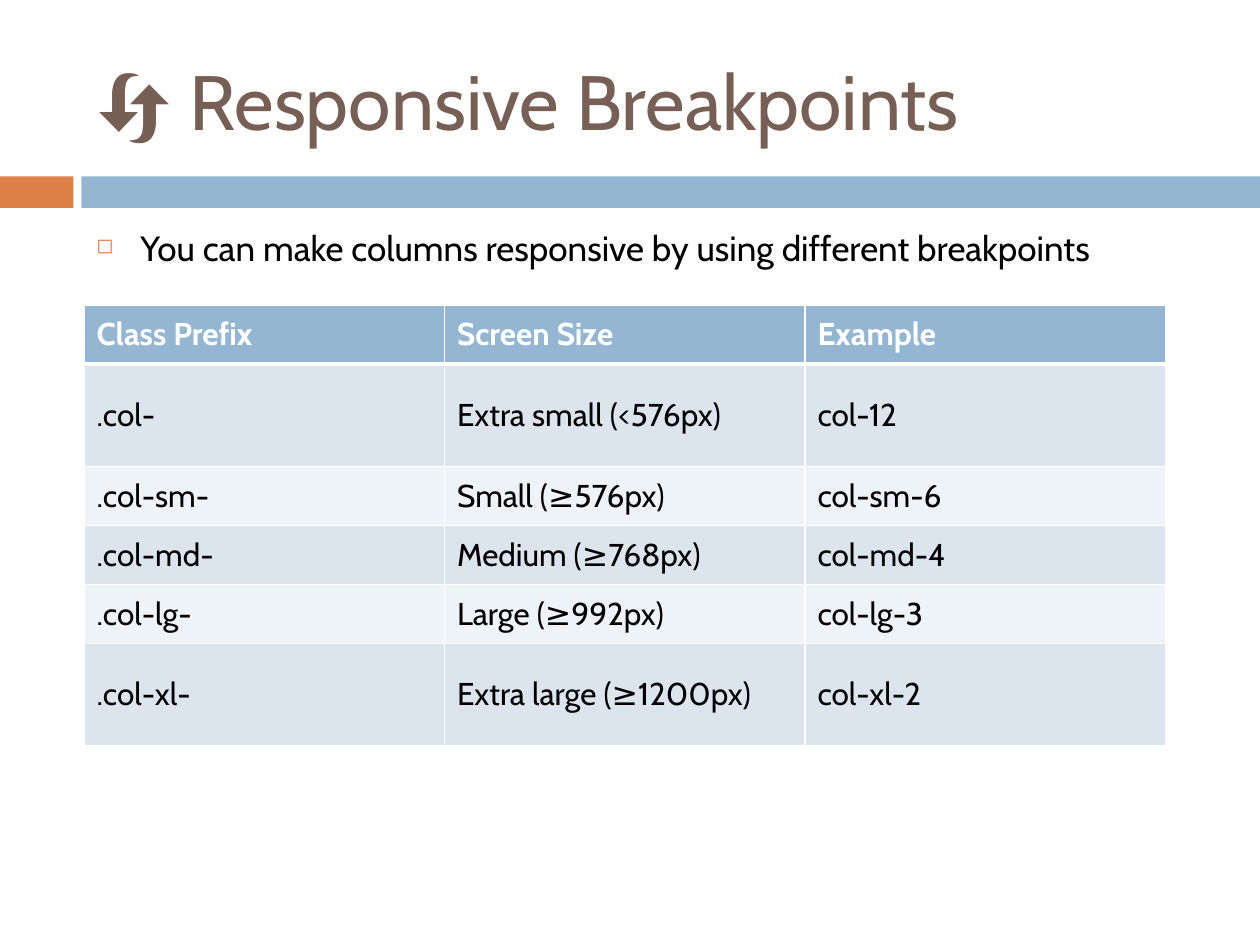
from lxml import etree
from pptx import Presentation
from pptx import util as u
from pptx.dml.color import RGBColor
from pptx.enum import shapes, text
from pptx.oxml import ns

Pt = u.Pt
FONT = "Cabin"
HEX = {
    "blue": "94B6D2", "orange": "DD8047", "brown": "775F55",
    "dark": "DCE5EE", "light": "EEF3F7", "white": "FFFFFF", "black": "000000",
}
LEFT, WIDE = 48, 642
ROWS = [
    ("Class Prefix", "Screen Size", "Example"),
    (".col-", "Extra small (<576px)", "col-12"),
    (".col-sm-", "Small (≥576px)", "col-sm-6"),
    (".col-md-", "Medium (≥768px)", "col-md-4"),
    (".col-lg-", "Large (≥992px)", "col-lg-3"),
    (".col-xl-", "Extra large (≥1200px)", "col-xl-2"),
]
LOW, TALL = 33.75, 58.5
HEIGHTS = [LOW, TALL, LOW, LOW, LOW, TALL]


def color(name):
    return RGBColor.from_string(HEX[name])


def node(parent, tag, **attrs):
    return etree.SubElement(parent, ns.qn(tag), attrs)


def write(frame, words, tint, **form):
    """Put one styled run in a text frame and return its paragraph."""
    para = frame.paragraphs[0]
    run = para.add_run()
    run.text = words
    for key, value in {"name": FONT, **form}.items():
        setattr(run.font, key, value)
    run.font.color.rgb = color(tint)
    return para


def add_bar(slide, left, width, tint):
    bar = slide.shapes.add_shape(
        shapes.MSO_SHAPE.RECTANGLE, Pt(left), Pt(100.8), Pt(width), Pt(18))
    bar.shadow.inherit = False
    bar.fill.solid()
    bar.fill.fore_color.rgb = color(tint)
    bar.line.fill.background()


def add_text(slide, top, height, anchor, words, tint, size):
    box = slide.shapes.add_textbox(Pt(LEFT), Pt(top), Pt(WIDE), Pt(height))
    frame = box.text_frame
    frame.word_wrap = True
    frame.vertical_anchor = anchor
    return write(frame, words, tint, size=Pt(size))


def add_bullet(para):
    para.space_before = Pt(7)
    props = para._p.get_or_add_pPr()
    props.set("marL", str(Pt(25.2)))
    props.set("indent", str(-Pt(25.2)))
    node(node(props, "a:buClr"), "a:srgbClr", val=HEX["orange"])
    node(props, "a:buSzPct", val="60000")
    node(props, "a:buChar", char="◻")


def add_edges(cell, row):
    """White cell borders, thicker between header and body."""
    props = cell._tc.get_or_add_tcPr()
    thick = {"T": row == 1, "B": row == 0}
    for side in "LRTB":
        width = Pt(3 if thick.get(side) else 1)
        line = node(props, f"a:ln{side}", w=str(width))
        node(node(line, "a:solidFill"), "a:srgbClr", val=HEX["white"])


def add_grid(slide):
    frame = slide.shapes.add_table(
        len(ROWS), len(ROWS[0]), Pt(LEFT), Pt(174.25), Pt(618), Pt(sum(HEIGHTS)))
    table = frame.table
    for col in table.columns:
        col.width = Pt(206)
    for r, (height, words) in enumerate(zip(HEIGHTS, ROWS)):
        table.rows[r].height = Pt(height)
        head = r == 0
        fill = "blue" if head else ("dark" if r % 2 else "light")
        for c, word in enumerate(words):
            cell = table.cell(r, c)
            cell.vertical_anchor = text.MSO_ANCHOR.MIDDLE
            add_edges(cell, r)
            cell.fill.solid()
            cell.fill.fore_color.rgb = color(fill)
            write(cell.text_frame, word, "white" if head else "black",
                  size=Pt(18), bold=head)


def main():
    deck = Presentation()
    deck.slide_width, deck.slide_height = Pt(720), Pt(540)
    slide = deck.slides.add_slide(deck.slide_layouts[6])

    # Divider band
    add_bar(slide, 0, 42, "orange")
    add_bar(slide, 46.5, 673.5, "blue")

    # Title and bullet
    add_text(slide, 18, 78, text.MSO_ANCHOR.MIDDLE,
             "🔄 Responsive Breakpoints", "brown", 44)
    para = add_text(slide, 126, 354, text.MSO_ANCHOR.TOP,
                    "You can make columns responsive by using different breakpoints",
                    "black", 20)
    add_bullet(para)

    # Breakpoint table
    add_grid(slide)
    deck.save("out.pptx")


if __name__ == "__main__":
    main()
